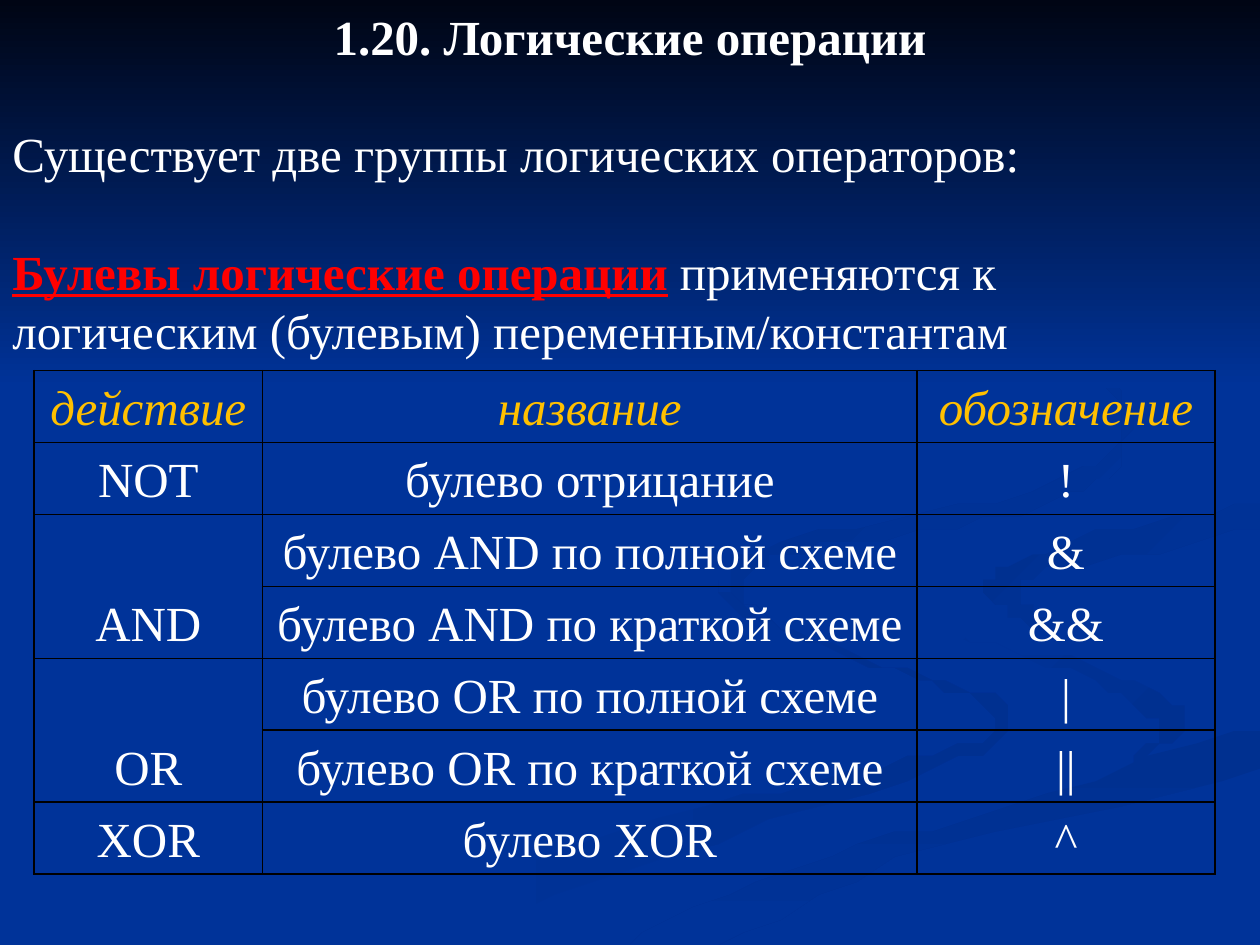
from lxml.etree import SubElement
from pptx import Presentation
from pptx.dml.color import RGBColor
from pptx.enum.shapes import MSO_SHAPE
from pptx.enum.text import MSO_ANCHOR, PP_ALIGN
from pptx.oxml.ns import qn
from pptx.util import Cm, Pt

FONT = "Times New Roman"
SIZE = Pt(28)
LINE = Pt(33.6)
WHITE = RGBColor(0xFF, 0xFF, 0xFF)
RED = RGBColor(0xFF, 0x00, 0x00)
GOLD = RGBColor(0xFF, 0xC0, 0x00)
BLUE = RGBColor(0x00, 0x33, 0x99)
SHADE = RGBColor(0x00, 0x30, 0x90)
NIGHT = RGBColor(0x00, 0x05, 0x14)

TITLE = "1.20. Логические операции"
INTRO = "Существует две группы логических операторов:"
TERM = "Булевы логические операции"
USAGE = "применяются к логическим (булевым) переменным/константам"

HEADER = ("действие", "название", "обозначение")
OPERATIONS = [
    ("NOT", [("булево отрицание", "!")]),
    ("AND", [("булево AND по полной схеме", "&"),
             ("булево AND по краткой схеме", "&&")]),
    ("OR", [("булево OR по полной схеме", "|"),
            ("булево OR по краткой схеме", "||")]),
    ("XOR", [("булево XOR", "^")]),
]
COLUMN_WIDTHS = (Cm(4.6), Cm(13.2), Cm(6))
ROW_HEIGHT = Cm(1.45)

# Background ribbons: first colour, last colour, clockwise angle and the
# knots of a smooth closed outline, in hundredths of the slide width.
RIBBONS = [
    (BLUE, SHADE, 0, [
        (78, 55), (67, 52), (59, 48), (57, 46), (59, 49), (68, 52), (78, 56),
        (77, 59), (65, 62), (46, 67), (30, 75), (36, 75), (50, 69), (72, 62),
        (80, 58)]),
    (BLUE, SHADE, 45, [
        (94, 57), (87, 53), (76, 50), (72, 46), (75, 50), (87, 54), (92, 58),
        (89, 61)]),
    (SHADE, BLUE, 90, [
        (50, 75), (57, 75), (75, 67), (100, 61), (100, 58), (80, 64), (63, 69)]),
    (SHADE, BLUE, 45, [
        (78, 46), (79, 48), (83, 50), (81, 47), (84, 45), (100, 42), (100, 40),
        (85, 43)]),
    (SHADE, BLUE, 45, [
        (68, 43), (83, 40), (89, 36), (88, 30), (76, 23), (85, 28), (89, 34),
        (82, 39), (62, 43), (58, 46), (62, 50), (59, 47), (62, 44)]),
]
CURVE_STEPS = 6


def smooth(knots):
    """Return a closed Catmull-Rom curve through the knots."""
    curve = []
    for i, b in enumerate(knots):
        a, c, d = (knots[(i + k) % len(knots)] for k in (-1, 1, 2))
        for t in (step / CURVE_STEPS for step in range(CURVE_STEPS)):
            curve.append(tuple(
                q + t / 2 * (r - p + t * (2 * p - 5 * q + 4 * r - s
                                          + t * (3 * (q - r) + s - p)))
                for p, q, r, s in zip(a, b, c, d)))
    return curve


def paint(shape, first, last, angle):
    shape.shadow.inherit = False
    shape.line.fill.background()
    shape.fill.gradient()
    shape.fill.gradient_angle = -angle % 360
    for stop, color in zip(shape.fill.gradient_stops, (first, last)):
        stop.color.rgb = color


def add_backdrop(shapes, width):
    for first, last, angle, knots in RIBBONS:
        outline = smooth(knots)
        builder = shapes.build_freeform(*outline[0], scale=width / 100)
        builder.add_line_segments(outline[1:], close=True)
        paint(builder.convert_to_shape(), first, last, angle)
    sky = shapes.add_shape(MSO_SHAPE.RECTANGLE, 0, 0, width, Cm(7.82))
    paint(sky, NIGHT, BLUE, 90)


def add_run(paragraph, text, color=WHITE, bold=False, italic=False, underline=False):
    run = paragraph.add_run()
    run.text = text
    font = run.font
    font.name, font.size, font.color.rgb = FONT, SIZE, color
    font.bold, font.italic, font.underline = bold, italic, underline


def draw_borders(cell):
    properties = cell._tc.get_or_add_tcPr()
    for position, side in enumerate(("a:lnL", "a:lnR", "a:lnT", "a:lnB")):
        line = SubElement(properties, qn(side), w=str(Pt(1)))
        fill = SubElement(line, qn("a:solidFill"))
        SubElement(fill, qn("a:srgbClr"), val="000000")
        properties.insert(position, line)


def fill_cell(cell, text, **style):
    cell.vertical_anchor = MSO_ANCHOR.BOTTOM
    paragraph = cell.text_frame.paragraphs[0]
    paragraph.alignment = PP_ALIGN.CENTER
    add_run(paragraph, text, **style)


def add_operations_table(shapes):
    row_count = 1 + sum(len(variants) for _, variants in OPERATIONS)
    table = shapes.add_table(row_count, len(HEADER), Cm(0.69), Cm(7.47),
                             sum(COLUMN_WIDTHS), ROW_HEIGHT * row_count).table
    table.first_row = table.horz_banding = False
    for column, width in zip(table.columns, COLUMN_WIDTHS):
        column.width = width
    for cell in table.iter_cells():
        cell.fill.background()
        draw_borders(cell)

    for column, heading in enumerate(HEADER):
        fill_cell(table.cell(0, column), heading, color=GOLD, italic=True)
    row = 1
    for action, variants in OPERATIONS:
        if len(variants) > 1:
            table.cell(row, 0).merge(table.cell(row + len(variants) - 1, 0))
        fill_cell(table.cell(row, 0), action)
        for name, sign in variants:
            fill_cell(table.cell(row, 1), name)
            fill_cell(table.cell(row, 2), sign)
            row += 1


def main():
    deck = Presentation()
    deck.slide_width, deck.slide_height = Cm(25.4), Cm(19.05)
    slide = deck.slides.add_slide(deck.slide_layouts[5])
    shapes = slide.shapes
    slide.background.fill.solid()
    slide.background.fill.fore_color.rgb = BLUE
    add_backdrop(shapes, deck.slide_width)

    title = shapes.title
    shapes._spTree.append(title._element)  # in front of the backdrop
    title.left, title.top, title.width, title.height = 0, 0, deck.slide_width, Cm(1.45)
    title.text_frame.vertical_anchor = MSO_ANCHOR.TOP
    heading = title.text_frame.paragraphs[0]
    heading.alignment = PP_ALIGN.CENTER
    add_run(heading, TITLE, bold=True)

    body = shapes.add_textbox(0, Cm(2.37), deck.slide_width, Cm(5)).text_frame
    body.word_wrap = True
    add_run(body.paragraphs[0], INTRO)
    definition = body.add_paragraph()
    definition.space_before = LINE
    add_run(definition, TERM, color=RED, bold=True, underline=True)
    add_run(definition, " ", color=RED, bold=True)
    add_run(definition, USAGE)

    add_operations_table(shapes)
    deck.save("out.pptx")


if __name__ == "__main__":
    main()
